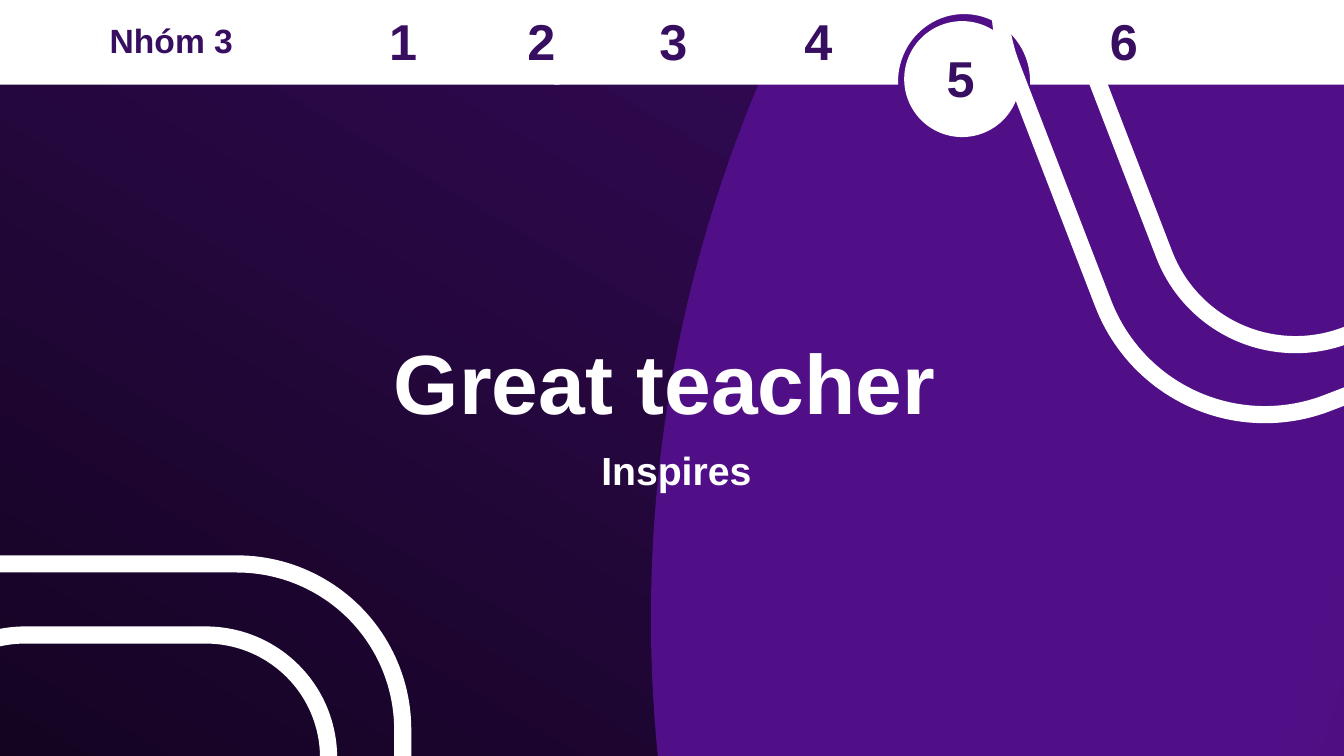
from dataclasses import dataclass
from math import cos, pi, sin

from pptx import Presentation
from pptx.dml.color import RGBColor
from pptx.enum.shapes import MSO_SHAPE
from pptx.enum.text import MSO_AUTO_SIZE, PP_ALIGN
from pptx.shapes.autoshape import Shape
from pptx.slide import Slide
from pptx.util import Inches, Pt

ELLIPSE = MSO_SHAPE.OVAL
RECTANGLE = MSO_SHAPE.RECTANGLE
ROUNDED = MSO_SHAPE.ROUNDED_RECTANGLE
LEFT, CENTER = PP_ALIGN.LEFT, PP_ALIGN.CENTER
FIT_TEXT = MSO_AUTO_SIZE.SHAPE_TO_FIT_TEXT

WHITE = RGBColor(0xFF, 0xFF, 0xFF)
BLACK = RGBColor(0x00, 0x00, 0x00)
CHARCOAL = RGBColor(0x0D, 0x0D, 0x0D)
PURPLE = RGBColor(0x50, 0x0F, 0x87)
INDIGO = RGBColor(0x37, 0x0E, 0x60)

COLUMNS, ROWS = 160, 90
SLIDE_WIDTH, SLIDE_HEIGHT = Inches(40 / 3), Inches(7.5)
BAR_HEIGHT = 10.08
NUMBER_TOP = 0.6
ACTIVE_TOP = 5.04


@dataclass(frozen=True)
class Box:
    left: float
    top: float
    width: float
    height: float
    rotation: float = 0


@dataclass(frozen=True)
class Glow:
    box: Box
    start: float
    stop: float
    end_color: RGBColor


@dataclass(frozen=True)
class Label:
    text: str
    box: Box
    size: int
    color: RGBColor
    alignment: PP_ALIGN = CENTER


GLOWS = (
    Glow(Box(-105.24, -19.92, 280.32, 284.64, 30.5), 0, 0.64, BLACK),
    Glow(Box(72.12, -82.56, 317.4, 305.64, 286.9), 0.35, 0.83, CHARCOAL),
)
TRACKS = (
    Box(-21.36, 67.92, 70.08, 68.52, 90),
    Box(-12.84, 76.8, 53.16, 50.76, 90),
    Box(123.24, -27.96, 78.48, 71.64, 158.9),
    Box(132.12, -21.24, 60.72, 58.2, 158.9),
)
LEFT_BAR = Box(-57.48, 0, 124.08, BAR_HEIGHT)
RIGHT_BAR = Box(66, 0, 160.08, BAR_HEIGHT)
NOTCH = Box(106.92, 1.68, 15.72, 8.04)
ACTIVE_CIRCLE = Box(107.64, 2.52, 13.8, 13.8)
NUMBER_COLUMNS = {"1": 43.8, "2": 60.24, "3": 75.96, "4": 93.24, "6": 129.6}


def number(text: str, left: float, top: float) -> Label:
    return Label(text, Box(left, top, 8.4, 8.52), 36, INDIGO)


ACTIVE_NUMBER = number("5", 110.16, ACTIVE_TOP)
LABELS = (
    Label("Nhóm 3", Box(11.88, 1.8, 22.92, 6), 24, INDIGO, LEFT),
    *(number(text, left, NUMBER_TOP) for text, left in NUMBER_COLUMNS.items()),
    Label("Great teacher ", Box(43.8, 38.76, 73.44, 13.32), 60, WHITE),
    Label("Inspires", Box(43.8, 52.56, 73.44, 6.84), 28, WHITE),
)


def across(columns: float) -> int:
    return round(SLIDE_WIDTH * columns / COLUMNS)


def down(rows: float) -> int:
    return round(SLIDE_HEIGHT * rows / ROWS)


def frame(box: Box) -> tuple[int, int, int, int]:
    return across(box.left), down(box.top), across(box.width), down(box.height)


def add_plain(slide: Slide, kind: MSO_SHAPE, box: Box) -> Shape:
    shape = slide.shapes.add_shape(kind, *frame(box))
    shape.rotation = box.rotation
    shape.shadow.inherit = False
    shape.line.fill.background()
    return shape


def fill_white(shape: Shape) -> None:
    shape.fill.solid()
    shape.fill.fore_color.rgb = WHITE


def add_glow(slide: Slide, glow: Glow) -> None:
    fill = add_plain(slide, ELLIPSE, glow.box).fill
    fill.gradient()
    fill.gradient_angle = 270
    colors = ((glow.start, PURPLE), (glow.stop, glow.end_color))
    for gradient_stop, (position, color) in zip(fill.gradient_stops, colors):
        gradient_stop.position = position
        gradient_stop.color.rgb = color


def add_track(slide: Slide, box: Box) -> None:
    shape = add_plain(slide, ROUNDED, box)
    shape.adjustments[0] = 0.288
    shape.fill.background()
    shape.line.color.rgb = WHITE
    shape.line.width = Pt(12.25)


def add_notched_bar(slide: Slide, bar: Box, notch: Box, steps: int = 60) -> None:
    radius = notch.width / 2
    center = notch.left + radius
    base = notch.top + notch.height
    right, bottom = bar.left + bar.width, bar.top + bar.height
    angles = [pi * step / steps for step in range(steps + 1)]
    arc = [(center + radius * cos(a), base - notch.height * sin(a)) for a in angles]
    points = [
        (right, bar.top),
        (right, bottom),
        (notch.left + notch.width, bottom),
        *arc,
        (notch.left, bottom),
        (bar.left, bottom),
    ]
    builder = slide.shapes.build_freeform(across(bar.left), down(bar.top))
    builder.add_line_segments([(across(x), down(y)) for x, y in points], close=True)
    shape = builder.convert_to_shape()
    shape.shadow.inherit = False
    shape.line.fill.background()
    fill_white(shape)


def add_label(slide: Slide, label: Label) -> None:
    text_frame = slide.shapes.add_textbox(*frame(label.box)).text_frame
    text_frame.word_wrap = True
    text_frame.auto_size = FIT_TEXT
    paragraph = text_frame.paragraphs[0]
    paragraph.text = label.text
    paragraph.alignment = label.alignment
    paragraph.font.name = "Arial"
    paragraph.font.size = Pt(label.size)
    paragraph.font.bold = True
    paragraph.font.color.rgb = label.color


def main() -> None:
    presentation = Presentation()
    presentation.slide_width = SLIDE_WIDTH
    presentation.slide_height = SLIDE_HEIGHT
    slide = presentation.slides.add_slide(presentation.slide_layouts[6])
    for glow in GLOWS:
        add_glow(slide, glow)
    for track in TRACKS:
        add_track(slide, track)
    fill_white(add_plain(slide, RECTANGLE, LEFT_BAR))
    fill_white(add_plain(slide, ELLIPSE, ACTIVE_CIRCLE))
    add_label(slide, ACTIVE_NUMBER)
    add_notched_bar(slide, RIGHT_BAR, NOTCH)
    for label in LABELS:
        add_label(slide, label)
    presentation.save("out.pptx")


if __name__ == "__main__":
    main()
